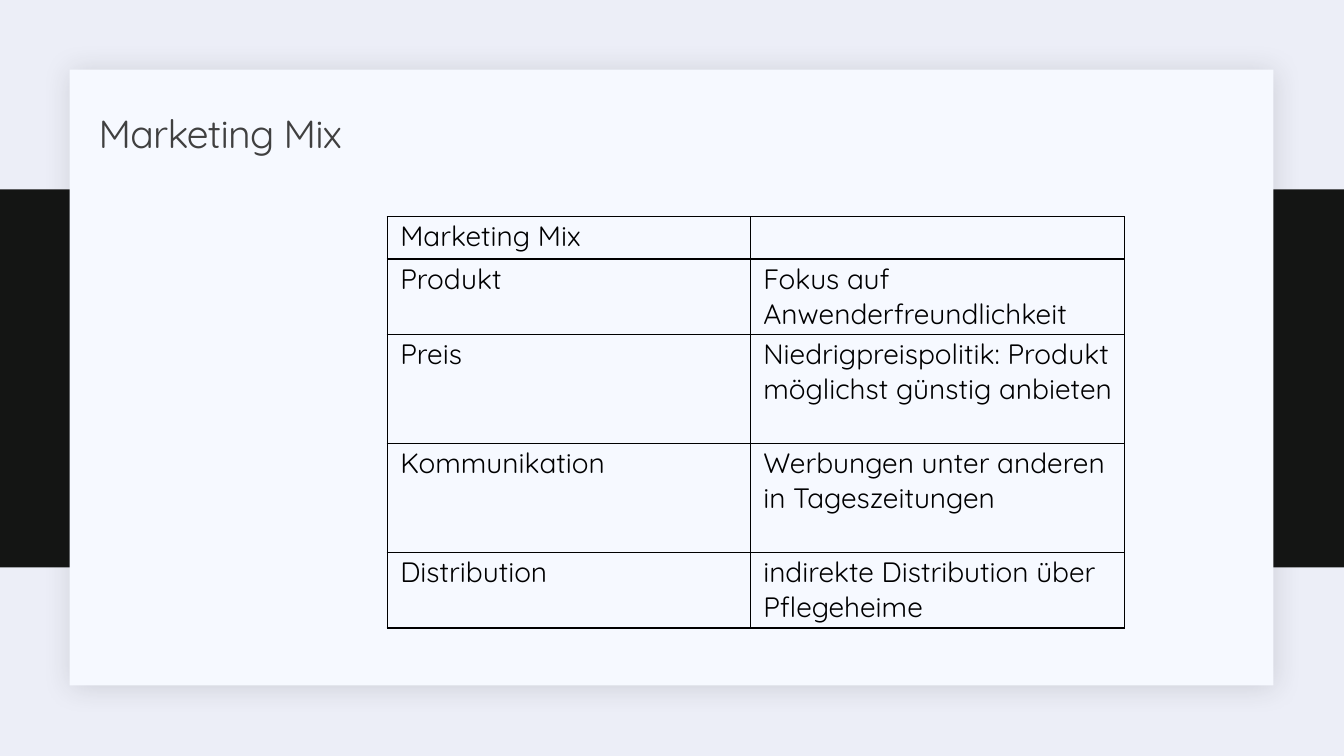
from lxml.etree import SubElement
from pptx import Presentation
from pptx.dml.color import RGBColor
from pptx.enum.shapes import MSO_SHAPE as Shape
from pptx.enum.text import MSO_ANCHOR as Anchor
from pptx.oxml.ns import qn
from pptx.util import Inches, Pt

BACKGROUND = RGBColor(0xEC, 0xEE, 0xF7)
BAND = RGBColor(0x14, 0x15, 0x14)
CARD = RGBColor(0xF6, 0xF9, 0xFF)
SHADOW = RGBColor(0x1F, 0x21, 0x25)
TITLE = RGBColor(0x40, 0x40, 0x40)
BLACK = RGBColor(0x00, 0x00, 0x00)

COLUMN_WIDTHS = [3.6, 3.71]
ROW_HEIGHTS = [0.42, 0.75, 1.08, 1.08, 0.75]
MARKETING_MIX = [
    ("Marketing Mix", ""),
    ("Produkt", "Fokus auf Anwenderfreundlichkeit"),
    ("Preis", "Niedrigpreispolitik: Produkt möglichst günstig anbieten"),
    ("Kommunikation", "Werbungen unter anderen in Tageszeitungen"),
    ("Distribution", "indirekte Distribution über Pflegeheime"),
]


def add_color(parent, color, opacity=100):
    """Append a colour element with an opacity in percent."""
    element = SubElement(parent, qn("a:srgbClr"), val=str(color))
    if opacity < 100:
        SubElement(element, qn("a:alpha"), val=str(opacity * 1000))


class SlideBuilder:
    font_name = "Quicksand"
    cell_margins = {
        "margin_left": Inches(0.13),
        "margin_top": Inches(0.02),
        "margin_right": Inches(0.1),
        "margin_bottom": 0,
    }

    def __init__(self, slide):
        self.slide = slide
        fill = slide.background.fill
        fill.solid()
        fill.fore_color.rgb = BACKGROUND

    def style(self, paragraph, size, color):
        formats = {"name": self.font_name, "size": Pt(size)}
        for target in (paragraph, *paragraph.runs):
            for name, value in formats.items():
                setattr(target.font, name, value)
            target.font.color.rgb = color

    def rectangle(self, left, top, width, height, color):
        shape = self.slide.shapes.add_shape(
            Shape.RECTANGLE, Inches(left), Inches(top), Inches(width), Inches(height))
        shape.shadow.inherit = False
        shape.fill.solid()
        shape.fill.fore_color.rgb = color
        shape.line.fill.background()
        return shape

    def soft_shadow(self, shape):
        effects = shape._element.spPr.find(qn("a:effectLst"))
        shadow = SubElement(effects, qn("a:outerShdw"), blurRad=str(Pt(20)),
                            dist=str(Pt(2)), dir=str(45 * 60000), rotWithShape="0")
        add_color(shadow, SHADOW, 15)

    def title(self, left, top, width, height, text):
        box = self.slide.shapes.add_textbox(
            Inches(left), Inches(top), Inches(width), Inches(height))
        frame = box.text_frame
        frame.word_wrap = True
        frame.vertical_anchor = Anchor.MIDDLE
        paragraph = frame.paragraphs[0]
        paragraph.text = text
        paragraph.line_spacing = 0.9
        self.style(paragraph, 28, TITLE)
        paragraph.runs[0].font._element.set("spc", "-50")

    def cell_borders(self, cell):
        properties = cell._tc.get_or_add_tcPr()
        for side in ("lnL", "lnR", "lnT", "lnB"):
            border = SubElement(properties, qn(f"a:{side}"), w=str(Pt(1)))
            add_color(SubElement(border, qn("a:solidFill")), BLACK)

    def table(self, left, top, widths, heights, rows):
        table = self.slide.shapes.add_table(
            len(heights), len(widths), Inches(left), Inches(top),
            Inches(sum(widths)), Inches(sum(heights))).table
        table.first_row = False
        table.horz_banding = False
        for column, width in zip(table.columns, widths):
            column.width = Inches(width)
        for row, height, texts in zip(table.rows, heights, rows):
            row.height = Inches(height)
            for cell, text in zip(row.cells, texts):
                for name, value in self.cell_margins.items():
                    setattr(cell, name, value)
                cell.text = text
                self.style(cell.text_frame.paragraphs[0], 20, BLACK)
                self.cell_borders(cell)
                cell.fill.background()


def main():
    presentation = Presentation()
    presentation.slide_width = Inches(13.33)
    presentation.slide_height = Inches(7.5)
    builder = SlideBuilder(presentation.slides.add_slide(presentation.slide_layouts[6]))

    # Dark band behind the light card
    builder.rectangle(0, 1.88, 13.33, 3.75, BAND)
    card = builder.rectangle(0.69, 0.69, 11.94, 6.11, CARD)
    builder.soft_shadow(card)

    # Title and table
    builder.title(0.88, 1.03, 11.32, 0.64, "Marketing Mix")
    builder.table(3.84, 2.15, COLUMN_WIDTHS, ROW_HEIGHTS, MARKETING_MIX)

    presentation.save("out.pptx")


if __name__ == "__main__":
    main()
